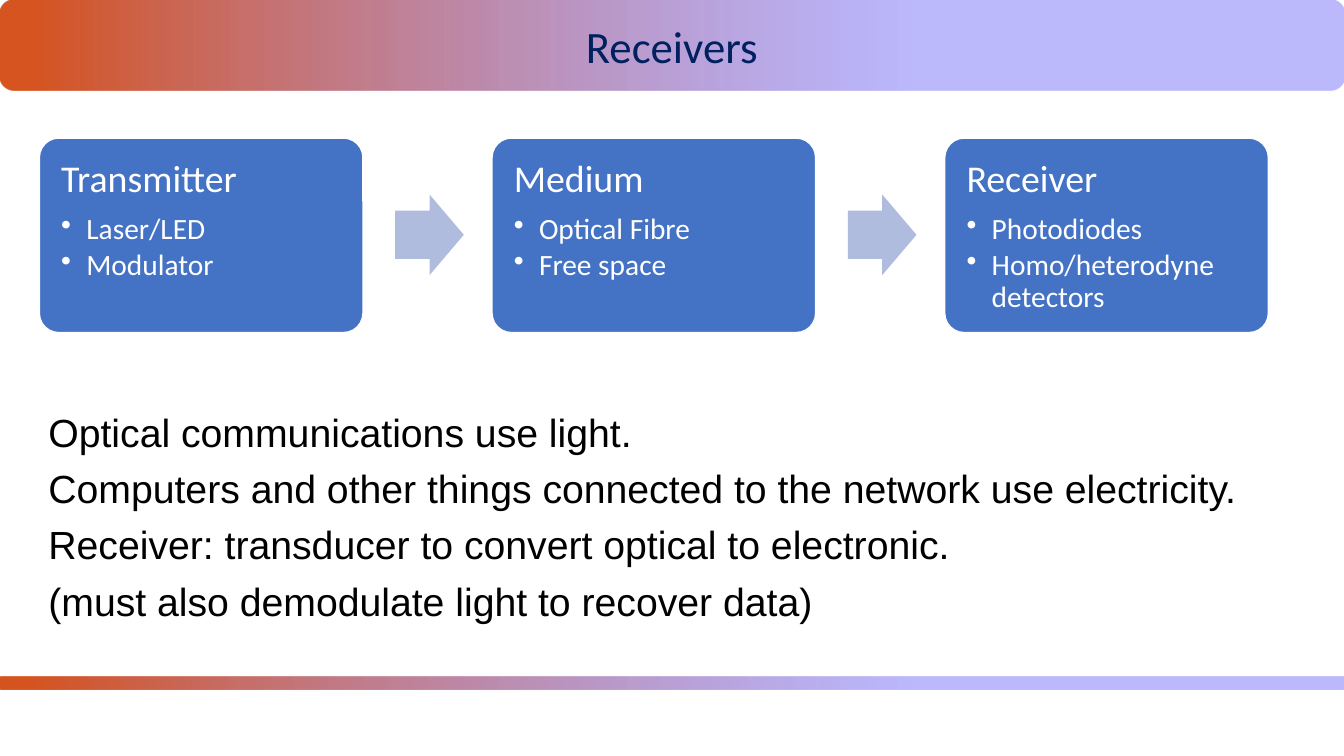
from dataclasses import dataclass

from lxml.etree import SubElement
from pptx import Presentation
from pptx.dml.color import RGBColor as RGB
from pptx.enum.shapes import MSO_SHAPE as SHAPE
from pptx.enum.text import MSO_ANCHOR as ANCHOR
from pptx.enum.text import MSO_AUTO_SIZE as AUTO
from pptx.enum.text import PP_ALIGN as ALIGN
from pptx.oxml.ns import qn
from pptx.util import Inches, Pt

COLORS = {"orange": "D65420", "violet": "7B75FB", "navy": "002060", "blue": "4472C4",
          "arrow": "B0BCDE", "white": "FFFFFF", "black": "000000"}
WIDTH = 13.33
STAGE_LEFT, STAGE_PITCH, ARROW_OFFSET = 0.39, 4.49, 3.53
TITLE_FORMAT = {"alignment": ALIGN.CENTER, "line_spacing": 0.9}
HEADING_FORMAT = {"alignment": ALIGN.LEFT, "line_spacing": 0.9, "space_after": Pt(9.5)}
ITEM_FORMAT = {"alignment": ALIGN.LEFT, "line_spacing": 0.9, "space_after": Pt(3), "level": 1}
BODY_FORMAT = {"alignment": ALIGN.LEFT, "line_spacing": 0.9}


@dataclass
class Band:
    top: float
    height: float


@dataclass
class Stage:
    name: str
    items: list[str]


BANDS = [Band(0, 0.9), Band(6.71, 0.13)]
STAGES = [
    Stage("Transmitter", ["Laser/LED", "Modulator"]),
    Stage("Medium", ["Optical Fibre", "Free space"]),
    Stage("Receiver", ["Photodiodes", "Homo/heterodyne detectors"]),
]
BODY = [
    "Optical communications use light.",
    "Computers and other things connected to the network use electricity.",
    "Receiver: transducer to convert optical to electronic.",
    "(must also demodulate light to recover data)",
]


def rgb(name: str) -> RGB:
    """Return the named palette colour."""
    return RGB.from_string(COLORS[name])


def apply(target, values: dict) -> None:
    """Set every attribute in values on the target."""
    for key, value in values.items():
        setattr(target, key, value)


def write(p, text: str, fmt: dict, size: float, color: str, font: str) -> None:
    """Fill a paragraph with one formatted run."""
    apply(p, fmt)
    r = p.add_run()
    r.text = text
    apply(r.font, {"size": Pt(size), "name": font})
    r.font.color.rgb = rgb(color)


def set_bullet(p, char: str = "", indent: float = 0) -> None:
    """Give a paragraph a hanging bullet, or none."""
    ppr = p._p.get_or_add_pPr()
    ppr.set("marL", str(Inches(indent)))
    ppr.set("indent", str(-Inches(indent)))
    if char:
        SubElement(ppr, qn("a:buChar")).set("char", char)
    else:
        SubElement(ppr, qn("a:buNone"))


def add_shape(s, kind: SHAPE, left: float, top: float, width: float, height: float):
    """Add a preset shape without shadow or outline."""
    sp = s.shapes.add_shape(kind, *map(Inches, (left, top, width, height)))
    sp.shadow.inherit = False
    sp.line.fill.background()
    return sp


def add_band(s, band: Band) -> None:
    """Draw a full-width gradient band."""
    sp = add_shape(s, SHAPE.ROUNDED_RECTANGLE, 0, band.top, WIDTH, band.height)
    sp.fill.gradient()
    sp.fill.gradient_angle = 0
    for stop, color, position in zip(sp.fill.gradient_stops, ("orange", "violet"), (0.02, 0.68)):
        stop.color.rgb = rgb(color)
        stop.position = position
    violet = sp._element.spPr.findall(".//" + qn("a:srgbClr"))[-1]
    SubElement(violet, qn("a:alpha")).set("val", "51000")


def add_stage(s, stage: Stage, left: float) -> None:
    """Draw one stage box with its heading and bullets."""
    sp = add_shape(s, SHAPE.ROUNDED_RECTANGLE, left, 1.37, 3.21, 1.93)
    sp.adjustments[0] = 0.1
    sp.fill.solid()
    sp.fill.fore_color.rgb = rgb("blue")
    sp.line.color.rgb = rgb("white")
    sp.line.width = Pt(1)
    tf = sp.text_frame
    margin = Inches(0.16)
    apply(tf, {"word_wrap": True, "vertical_anchor": ANCHOR.TOP, "margin_left": margin,
               "margin_right": margin, "margin_top": margin, "margin_bottom": margin})
    write(tf.paragraphs[0], stage.name, HEADING_FORMAT, 27, "white", "Calibri")
    for item in stage.items:
        p = tf.add_paragraph()
        set_bullet(p, "•", 0.25)
        write(p, item, ITEM_FORMAT, 21, "white", "Calibri")


def add_arrow(s, left: float) -> None:
    """Draw the arrow that leads to the next stage."""
    sp = add_shape(s, SHAPE.RIGHT_ARROW, left, 1.93, 0.68, 0.8)
    sp.adjustments[0] = 0.6
    sp.fill.solid()
    sp.fill.fore_color.rgb = rgb("arrow")


def place(s, sp, left: float, top: float, width: float, height: float):
    """Move a placeholder to the front and return its text frame."""
    s.shapes._spTree.append(sp._element)
    apply(sp, {"left": Inches(left), "top": Inches(top),
               "width": Inches(width), "height": Inches(height)})
    tf = sp.text_frame
    apply(tf, {"word_wrap": True, "auto_size": AUTO.NONE, "vertical_anchor": ANCHOR.TOP,
               "margin_left": Inches(0.1), "margin_right": Inches(0.1),
               "margin_top": Inches(0.05), "margin_bottom": Inches(0.05)})
    return tf


def main() -> None:
    """Build and save the slide."""
    prs = Presentation()
    apply(prs, {"slide_width": Inches(WIDTH), "slide_height": Inches(7.5)})
    s = prs.slides.add_slide(prs.slide_layouts[1])
    title, body = s.placeholders
    for band in BANDS:
        add_band(s, band)
    tf = place(s, title, 0, 0.2, WIDTH, 0.46)
    write(tf.paragraphs[0], "Receivers", TITLE_FORMAT, 32, "navy", "Calibri")
    for i, stage in enumerate(STAGES):
        left = STAGE_LEFT + i * STAGE_PITCH
        add_stage(s, stage, left)
        if i < len(STAGES) - 1:
            add_arrow(s, left + ARROW_OFFSET)
    tf = place(s, body, 0.38, 4.05, 12.95, 1.07)
    for i, line in enumerate(BODY):
        p = tf.add_paragraph() if i else tf.paragraphs[0]
        set_bullet(p)
        write(p, line, BODY_FORMAT | {"space_before": Pt(10 if i else 0)}, 28, "black", "Arial")
    prs.save("out.pptx")


if __name__ == "__main__":
    main()
